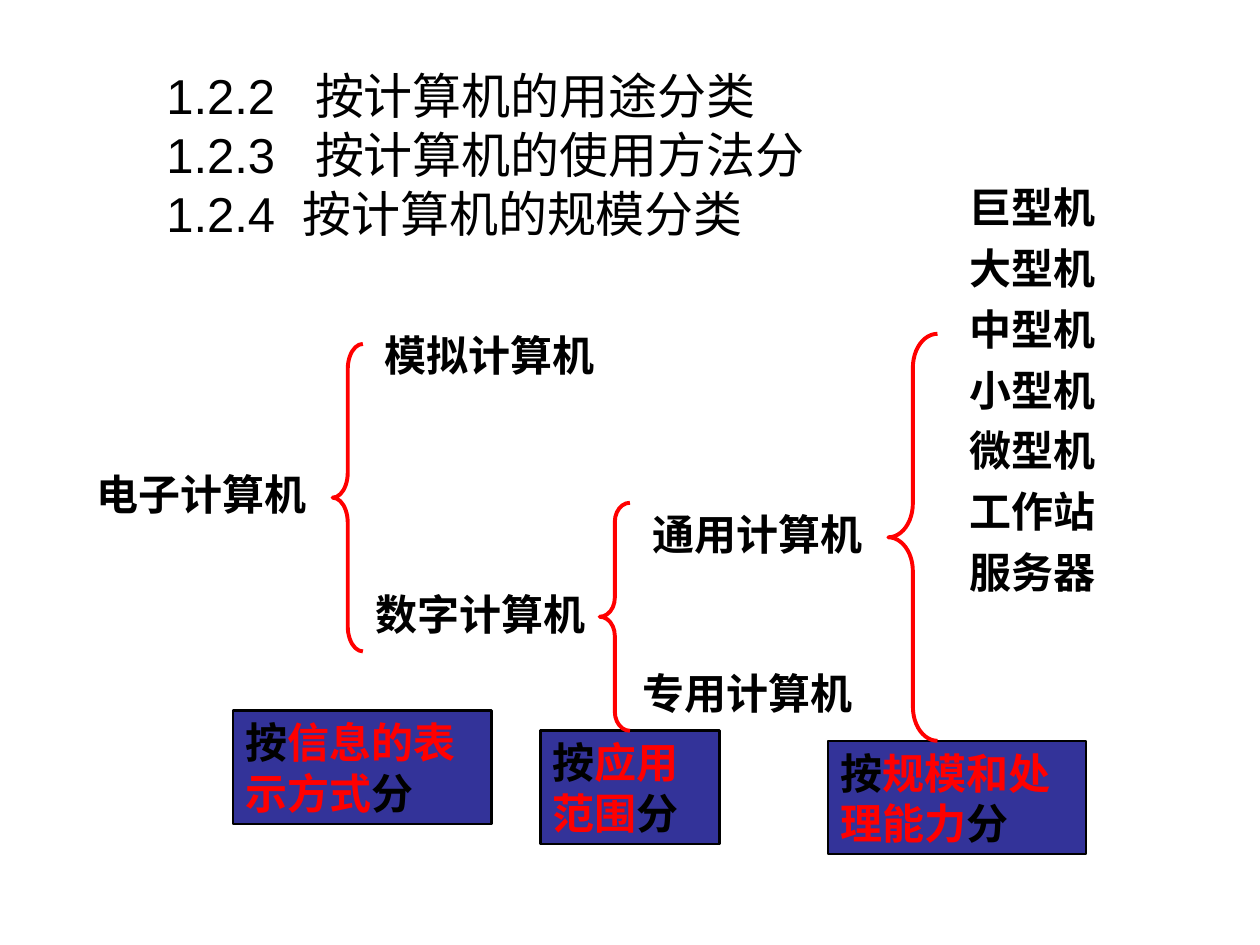
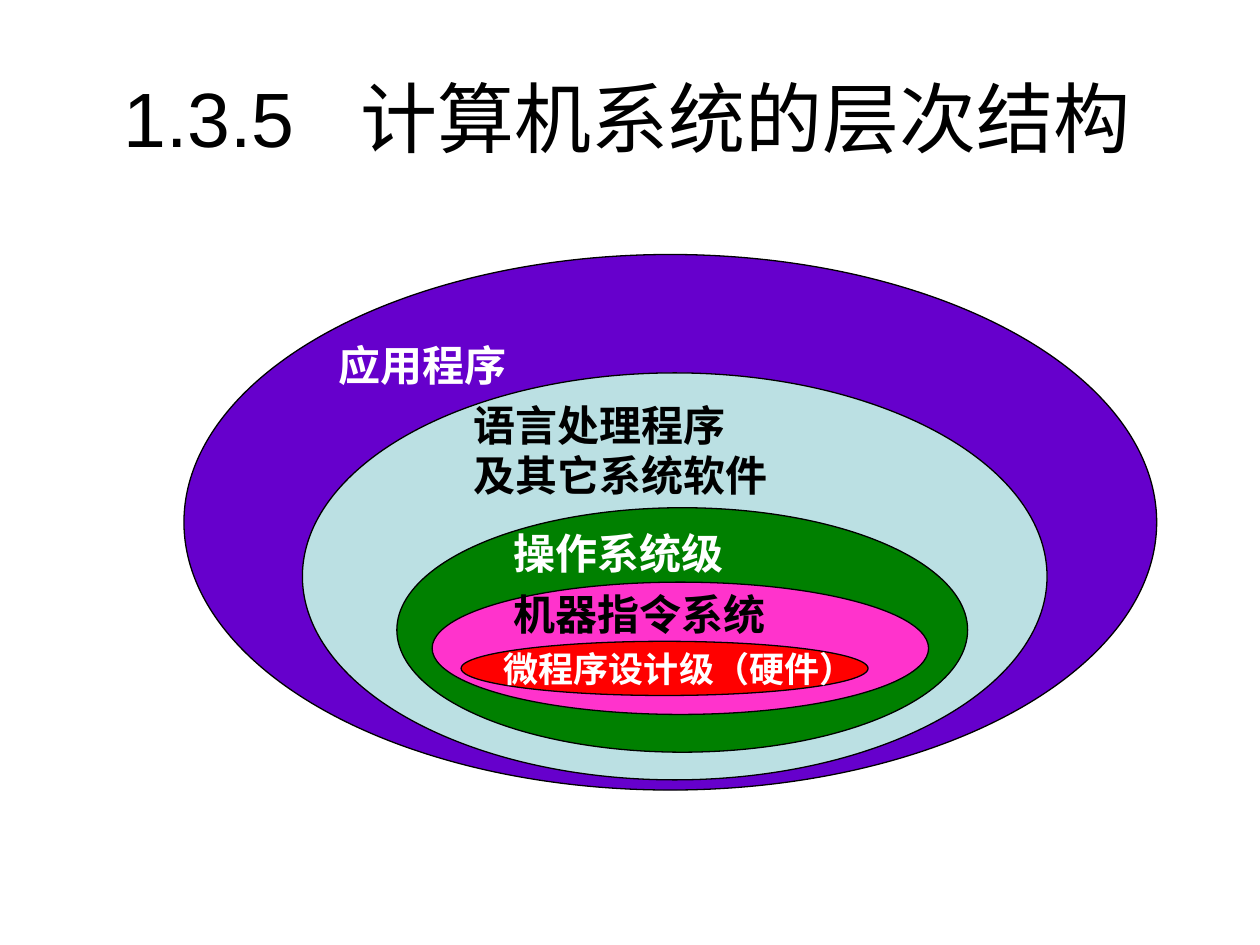
import pptx
import pptx.util
import pptx.dml.color
import pptx.enum.shapes
import pptx.enum.text
import lxml.etree

Inches = pptx.util.Inches
Pt = pptx.util.Pt
SHAPE = pptx.enum.shapes.MSO_SHAPE
ANCHOR = pptx.enum.text.MSO_ANCHOR
ALIGN = pptx.enum.text.PP_ALIGN
NS = "http://schemas.openxmlformats.org/drawingml/2006/main"

# Shared colours and fonts
BLACK, WHITE, RED, NAVY = "000000", "FFFFFF", "FF0000", "333399"
HEAD, BODY = "Arial", "Times New Roman"


def color(code):
    return pptx.dml.color.RGBColor.from_string(code)


def style(para, size, code, face=BODY, bold=True):
    font = para.font
    font.name, font.size, font.bold = face, Pt(size), bold
    font.color.rgb = color(code)


def add_tab(para, stop):
    """Set one left tab stop, in inches."""
    props = para._p.get_or_add_pPr()
    tabs = lxml.etree.Element(f"{{{NS}}}tabLst")
    lxml.etree.SubElement(tabs, f"{{{NS}}}tab", pos=str(Inches(stop)), algn="l")
    props.insert(0, tabs)


def add_box(slide, left, top, width, height):
    box = slide.shapes.add_textbox(*map(Inches, (left, top, width, height)))
    box.text_frame.word_wrap = True
    return box.text_frame


def add_title(slide, place, size, lines):
    """Each line is a number, its heading and the tab stop between them."""
    frame = add_box(slide, *place)
    frame.margin_left = frame.margin_right = 0
    frame.vertical_anchor = ANCHOR.MIDDLE
    frame.text = "\n".join(f"{num}\t{head}" for num, head, stop in lines)
    for para, (num, head, stop) in zip(frame.paragraphs, lines):
        add_tab(para, stop)
        style(para, size, BLACK, HEAD, False)


def add_label(slide, place, text, code=BLACK, size=24, gap=0):
    frame = add_box(slide, *place)
    frame.text = text
    for para in frame.paragraphs:
        style(para, size, code)
        para.space_before = Pt(gap)


def add_form(slide, kind, place, fill, line, weight):
    form = slide.shapes.add_shape(kind, *map(Inches, place))
    form.shadow.inherit = False
    if fill:
        form.fill.solid()
        form.fill.fore_color.rgb = color(fill)
    else:
        form.fill.background()
    form.line.color.rgb = color(line)
    form.line.width = Pt(weight)
    form.text_frame.vertical_anchor = ANCHOR.TOP
    return form


def add_basis(slide, left, top, width, term):
    """A box naming the basis of a split, with its key term in red."""
    form = add_form(slide, SHAPE.RECTANGLE, (left, top, width, 0.9), NAVY, BLACK, 1.5)
    para = form.text_frame.paragraphs[0]
    para.alignment = ALIGN.LEFT
    para.space_before = Pt(6)
    style(para, 24, BLACK)
    for text, code in (("按", BLACK), (term, RED), ("分", BLACK)):
        run = para.add_run()
        run.text = text
        run.font.color.rgb = color(code)


def add_brace(slide, place, curve):
    form = add_form(slide, SHAPE.LEFT_BRACE, place, None, RED, 2.25)
    form.adjustments[0] = curve


def draw_types(slide):
    # Names in the tree
    for left, top, name in (
        (0.67, 3.67, "电子计算机"),
        (2.95, 2.57, "模拟计算机"),
        (2.88, 4.62, "数字计算机"),
        (5.0, 5.25, "专用计算机"),
        (5.08, 3.99, "通用计算机"),
    ):
        add_label(slide, (left, top, 2, 0.5), name, gap=6)
    sizes = ("巨型机", "大型机", "中型机", "小型机", "微型机", "工作站", "服务器")
    add_label(slide, (7.6, 1.39, 1.34, 3.4), "\n".join(sizes), gap=6)

    # Basis of each split
    add_basis(slide, 1.85, 5.64, 2.05, "信息的表示方式")
    add_basis(slide, 4.29, 5.8, 1.42, "应用范围")
    add_basis(slide, 6.57, 5.88, 2.05, "规模和处理能力")

    # Braces
    add_brace(slide, (2.64, 2.73, 0.24, 2.44), 0.83)
    add_brace(slide, (4.76, 3.99, 0.24, 1.81), 0.63)
    add_brace(slide, (7.05, 2.65, 0.39, 3.23), 0.69)

    add_title(slide, (1.32, 0.52, 5.59, 1.4), 28, (
        ("1.2.2", "按计算机的用途分类", 1.18),
        ("1.2.3", "按计算机的使用方法分", 1.18),
        ("1.2.4", "按计算机的规模分类", 1.08),
    ))


def draw_layers(slide):
    add_title(slide, (0.98, 0.3, 8.5, 1.25), 44,
              (("1.3.5", "计算机系统的层次结构", 1.88),))

    # Nested layers, outermost first
    rings = [
        add_form(slide, SHAPE.OVAL, place, fill, BLACK, 0.75)
        for place, fill in (
            ((1.46, 2.02, 7.72, 4.25), "6600CC"),
            ((2.4, 2.96, 5.91, 3.23), "BBE0E3"),
            ((3.15, 4.03, 4.53, 1.94), "008000"),
            ((3.43, 4.62, 3.94, 1.05), "FF33CC"),
            ((3.66, 5.09, 3.23, 0.43), RED),
        )
    ]
    frame = rings[0].text_frame
    frame.text = "应用程序"
    frame.paragraphs[0].alignment = ALIGN.JUSTIFY
    style(frame.paragraphs[0], 24, WHITE)

    # Layer names
    add_label(slide, (3.66, 3.12, 2.58, 0.9), "语言处理程序\n及其它系统软件")
    add_label(slide, (3.98, 4.14, 2.3, 0.5), "操作系统级", WHITE)
    add_label(slide, (3.98, 4.62, 2.3, 0.5), "机器指令系统")
    add_label(slide, (3.9, 5.09, 3.23, 0.44), "微程序设计级（硬件）", WHITE, 20)


def main():
    deck = pptx.Presentation()
    deck.slide_width, deck.slide_height = Inches(10), Inches(7.5)
    for draw in (draw_types, draw_layers):
        draw(deck.slides.add_slide(deck.slide_layouts[6]))
    deck.save("out.pptx")


if __name__ == "__main__":
    main()
